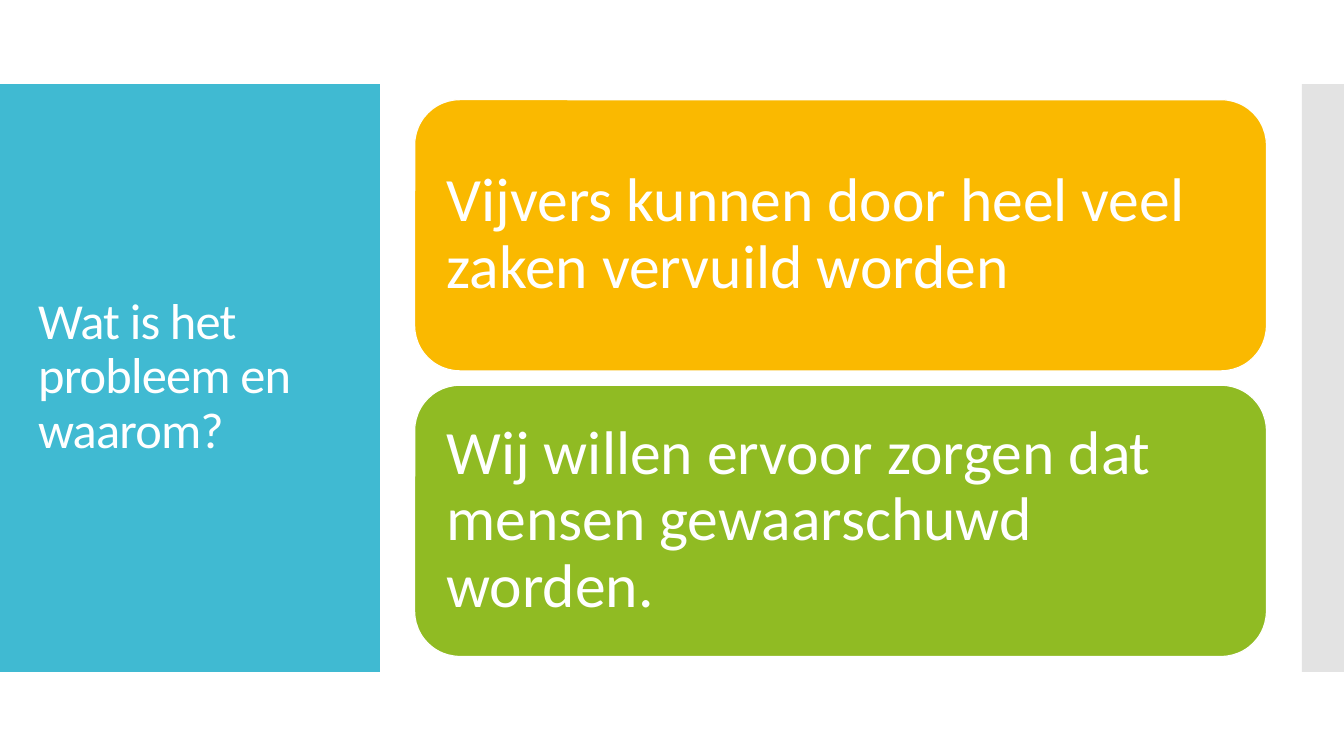
from lxml.etree import SubElement
from pptx import Presentation
from pptx.dml.color import RGBColor
from pptx.enum.shapes import MSO_SHAPE
from pptx.enum.text import MSO_ANCHOR, MSO_AUTO_SIZE, PP_ALIGN
from pptx.oxml.ns import qn
from pptx.util import Pt

WHITE = RGBColor(0xFF, 0xFF, 0xFF)
TURQUOISE = RGBColor(0x40, 0xBA, 0xD2)
GREY = RGBColor(0xC8, 0xC8, 0xC8)
YELLOW = RGBColor(0xFA, 0xB9, 0x00)
GREEN = RGBColor(0x90, 0xBB, 0x23)


def add_block(kind, left, top, width, height, color):
    block = page.shapes.add_shape(kind, Pt(left), Pt(top), Pt(width), Pt(height))
    block.shadow.inherit = False
    block.fill.solid()
    block.fill.fore_color.rgb = color
    block.line.fill.background()
    return block


def write(box, text, size, inset, spacing=0):
    """Fill the box with one left-aligned paragraph; spacing is between letters."""
    frame = box.text_frame
    frame.word_wrap = True
    frame.auto_size = MSO_AUTO_SIZE.NONE
    frame.vertical_anchor = MSO_ANCHOR.MIDDLE
    frame.margin_left = frame.margin_right = Pt(inset)
    frame.margin_top = frame.margin_bottom = Pt(inset)
    para = frame.paragraphs[0]
    para.alignment = PP_ALIGN.LEFT
    para.line_spacing = 0.9
    para.space_before = Pt(0)
    span = para.add_run()
    span.text = text
    span.font.name = "Calibri"
    span.font.size = Pt(size)
    span.font.color.rgb = WHITE
    if spacing:
        span.font._element.set("spc", str(round(spacing * 100)))


deck = Presentation()
deck.slide_width, deck.slide_height = Pt(960), Pt(540)
page = deck.slides.add_slide(deck.slide_layouts[5])

title = page.shapes.title
title.left, title.top, title.width, title.height = Pt(20), Pt(88.5), Pt(232), Pt(362)
write(title, "Wat is het probleem en waarom?", 36, 7.2, spacing=-0.6)

# Side panels lie behind the title
title_panel = add_block(MSO_SHAPE.RECTANGLE, 0, 60, 271.3, 420, TURQUOISE)
edge_panel = add_block(MSO_SHAPE.RECTANGLE, 930, 60, 30, 420, GREY)
edge_color = edge_panel.fill._xPr.find(qn("a:solidFill"))[0]
SubElement(edge_color, qn("a:alpha"), val="50000")
for panel in (title_panel, edge_panel):
    title.element.addprevious(panel.element)

statements = [
    ("Vijvers kunnen door heel veel zaken vervuild worden", YELLOW),
    ("Wij willen ervoor zorgen dat mensen gewaarschuwd worden.", GREEN),
]
for index, (text, color) in enumerate(statements):
    card = add_block(MSO_SHAPE.ROUNDED_RECTANGLE, 296.2, 71.2 + 204 * index, 608.4, 193.7, color)
    card.line.color.rgb = WHITE
    card.line.width = Pt(0.85)
    write(card, text, 44, 13.2)

deck.save("out.pptx")
